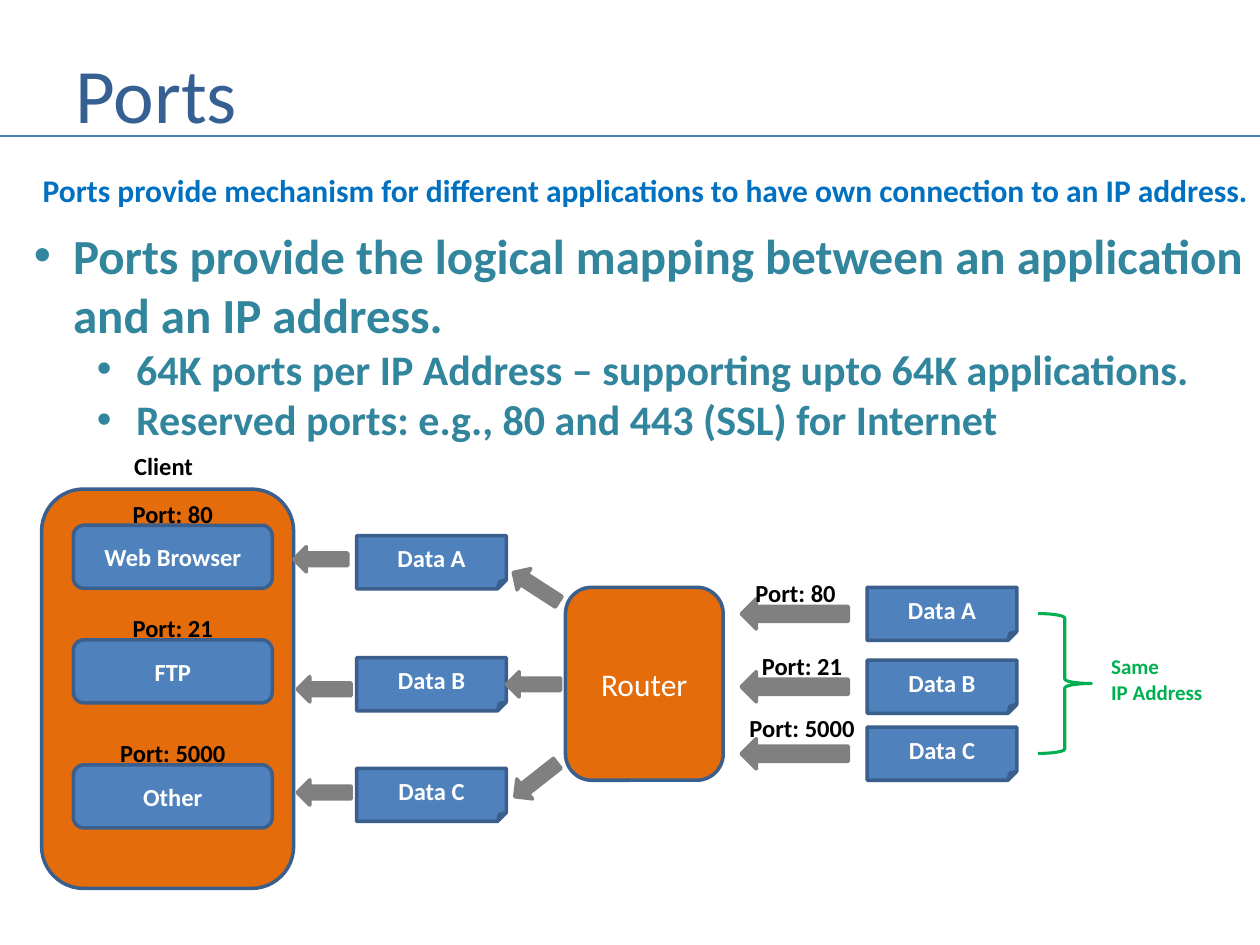
from lxml import etree
from pptx import Presentation, util as u
from pptx.dml.color import RGBColor
from pptx.enum import shapes, text
from pptx.oxml import ns

THEME = {
    "font": "Calibri",
    "title": "376092", "rule": "4B7EBC", "lead": "0070C0", "body": "31859C",
    "orange": "E46C0A", "blue": "4F81BD", "edge": "3A5F8C", "gray": "808080",
    "green": "00B050", "white": "FFFFFF", "black": "000000",
    "title_size": 44, "point_size": 28, "subpoint_size": 24,
    "lead_size": 18, "label_size": 14, "note_size": 12,
}
TITLE = "Ports"
LEAD = ("Ports provide mechanism for different applications "
        "to have own connection to an IP address.")
POINTS = [
    (0, "Ports provide the logical mapping between an application\vand an IP address."),
    (1, "64K ports per IP Address – supporting upto 64K applications."),
    (1, "Reserved ports: e.g., 80 and 443 (SSL) for Internet"),
]
APPS = [("Web Browser", "Port: 80", 10.59), ("FTP", "Port: 21", 12.9),
        ("Other", "Port: 5000", 15.42)]
INCOMING = [("Data A", "Port: 80", 11.84, 16.04, 11.53),
            ("Data B", "Port: 21", 13.31, 16.17, 13.0),
            ("Data C", "Port: 5000", 14.66, 16.17, 14.25)]
DELIVERED = [("Data A", 10.8), ("Data B", 13.26), ("Data C", 15.49)]
SHORT_ARROWS = [
    (5.92, 11.02, 180), (5.99, 13.64, 180), (5.99, 15.72, 180),
    (10.26, 11.58, 212.9), (10.21, 13.54, 180), (10.26, 15.47, 141.8),
]
APP_LEFT, APP_WIDTH, APP_HEIGHT = 1.48, 4.01, 1.27
CARD_WIDTH, CARD_HEIGHT = 3.02, 1.07
LABEL_WIDTH, LABEL_HEIGHT = 2.8, 0.86
LONG_ARROW_HEIGHT = 0.61
KIND = shapes.MSO_SHAPE

deck = Presentation()
deck.slide_width, deck.slide_height = u.Cm(25.4), u.Cm(19.05)
page = deck.slides.add_slide(deck.slide_layouts[1])


def color(name):
    return RGBColor.from_string(THEME[name])


def place(box, left, top, width, height):
    box.left, box.top, box.width, box.height = map(u.Cm, (left, top, width, height))


def style(para, size, tint, bold=True, align=text.PP_ALIGN.LEFT):
    para.alignment = align
    para.font.name = THEME["font"]
    para.font.size = u.Pt(THEME[size])
    para.font.bold = bold
    para.font.color.rgb = color(tint)


def add_shape(kind, left, top, width, height, fill, edge="edge", weight=2):
    shape = page.shapes.add_shape(kind, *map(u.Cm, (left, top, width, height)))
    shape.shadow.inherit = False
    if fill:
        shape.fill.solid()
        shape.fill.fore_color.rgb = color(fill)
    else:
        shape.fill.background()
    shape.line.color.rgb = color(edge)
    shape.line.width = u.Pt(weight)
    return shape


def add_node(kind, words, left, top, width, height, fill="blue",
             size="label_size", bold=True):
    frame = add_shape(kind, left, top, width, height, fill).text_frame
    frame.vertical_anchor = text.MSO_ANCHOR.MIDDLE
    frame.text = words
    style(frame.paragraphs[0], size, "white", bold, text.PP_ALIGN.CENTER)


def add_card(words, left, top):
    add_node(KIND.FOLDED_CORNER, words, left, top, CARD_WIDTH, CARD_HEIGHT)


def add_arrow(left, top, width, height, angle=180):
    add_shape(KIND.RIGHT_ARROW, left, top, width, height, "gray", "gray").rotation = angle


def add_text(words, left, top, width, height, size, tint, align=text.PP_ALIGN.LEFT):
    frame = page.shapes.add_textbox(*map(u.Cm, (left, top, width, height))).text_frame
    frame.word_wrap = False
    frame.text = words
    style(frame.paragraphs[0], size, tint, align=align)


def add_label(words, center, top):
    add_text(words, center - LABEL_WIDTH / 2, top, LABEL_WIDTH, LABEL_HEIGHT,
             "label_size", "black", text.PP_ALIGN.CENTER)


def add_bullet(para, level):
    para.level = level
    props = para._p.get_or_add_pPr()
    props.set("marL", str(u.Cm((0.79, 2.06)[level])))
    props.set("indent", str(u.Cm(-0.79)))
    etree.SubElement(props, ns.qn("a:buFont")).set("typeface", "Arial")
    etree.SubElement(props, ns.qn("a:buChar")).set("char", "•")


title, body = page.placeholders
place(title, 1.27, 0.76, 23.06, 2.21)
title.text_frame.text = TITLE
title.text_frame.vertical_anchor = text.MSO_ANCHOR.MIDDLE
style(title.text_frame.paragraphs[0], "title_size", "title", bold=False)

rule = page.shapes.add_connector(shapes.MSO_CONNECTOR.STRAIGHT, 0, u.Cm(2.74),
                                 deck.slide_width, u.Cm(2.74))
rule.line.color.rgb = color("rule")
rule.line.width = u.Pt(1.5)
etree.SubElement(rule._element.spPr, ns.qn("a:effectLst"))

place(body, 0.43, 4.42, 25.17, 4.7)
body.text_frame.word_wrap = False
body.text_frame.auto_size = text.MSO_AUTO_SIZE.NONE
for index, (level, words) in enumerate(POINTS):
    para = body.text_frame.add_paragraph() if index else body.text_frame.paragraphs[0]
    para.text = words
    add_bullet(para, level)
    para.space_before = u.Pt(0)
    style(para, ("point_size", "subpoint_size")[level], "body")

add_text(LEAD, 0.61, 3.33, 24.87, 1.02, "lead_size", "lead")

add_node(KIND.ROUNDED_RECTANGLE, "Router", 11.4, 11.84, 3.18, 3.89, "orange",
         "lead_size", False)
add_shape(KIND.ROUNDED_RECTANGLE, 0.84, 9.86, 5.08, 8.05, "orange")
add_label("Client", 3.3, 8.97)

for app, port, top in APPS:
    add_node(KIND.ROUNDED_RECTANGLE, app, APP_LEFT, top, APP_WIDTH, APP_HEIGHT)
    add_label(port, APP_LEFT + APP_WIDTH / 2, top - 0.66)

for data, port, top, label_center, label_top in INCOMING:
    add_card(data, 17.48, top)
    add_arrow(14.94, top + (CARD_HEIGHT - LONG_ARROW_HEIGHT) / 2, 2.16, LONG_ARROW_HEIGHT)
    add_label(port, label_center, label_top)

for data, top in DELIVERED:
    add_card(data, 7.19, top)
for left, top, angle in SHORT_ARROWS:
    add_arrow(left, top, 1.09, 0.51, angle)

add_shape(KIND.RIGHT_BRACE, 20.93, 12.37, 1.07, 2.82, None, "green", 1.75)
add_text("Same\vIP Address", 22.15, 13.06, 2.36, 1.27, "note_size", "green")

deck.save("out.pptx")
